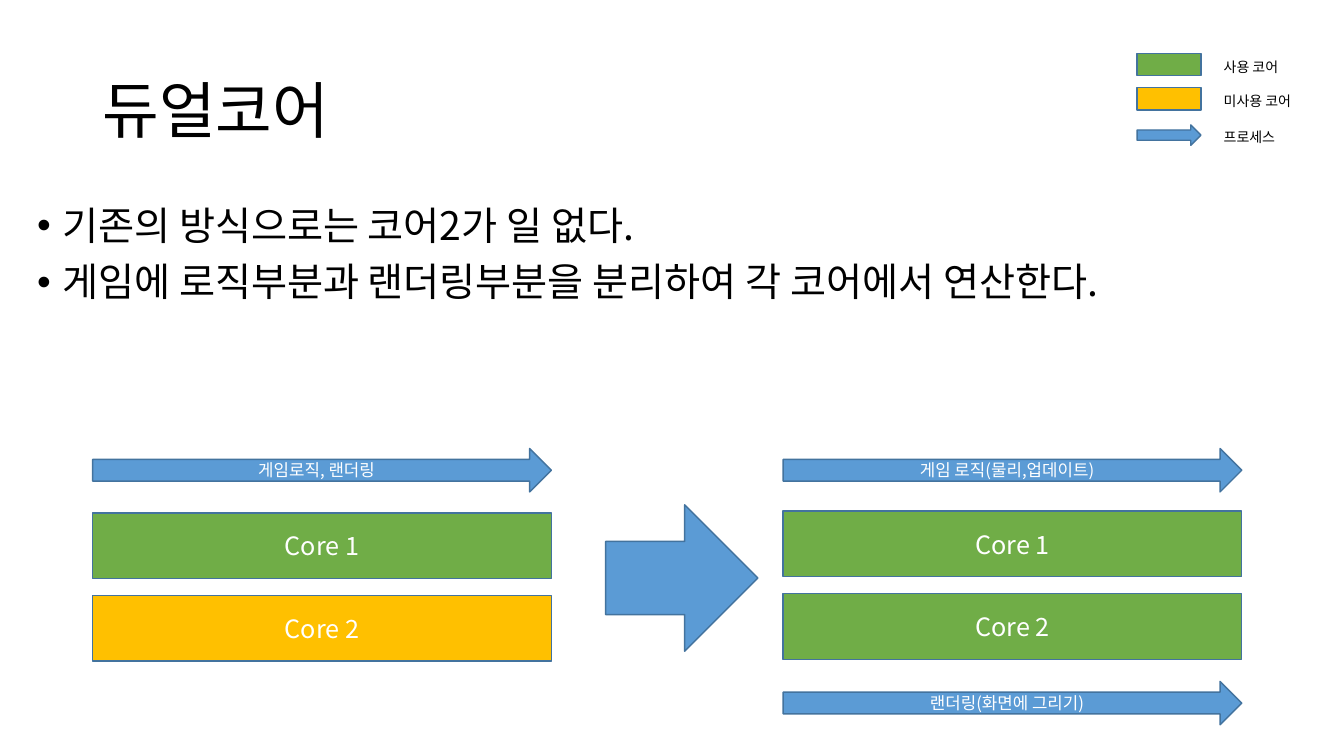
from lxml.etree import SubElement
from pptx import Presentation
from pptx.dml.color import RGBColor
from pptx.enum.shapes import MSO_SHAPE as Shape
from pptx.enum.text import MSO_ANCHOR as Anchor, MSO_AUTO_SIZE as AutoSize, PP_ALIGN as Align
from pptx.oxml.ns import qn
from pptx.util import Pt

FONT = "Noto Sans CJK KR"
BLACK = RGBColor(0x00, 0x00, 0x00)
WHITE = RGBColor(0xFF, 0xFF, 0xFF)
USED = RGBColor(0x70, 0xAD, 0x47)
UNUSED = RGBColor(0xFF, 0xC0, 0x00)
PROCESS = RGBColor(0x5B, 0x9B, 0xD5)
OUTLINE = RGBColor(0x43, 0x73, 0x9E)

LANE_WIDTH = 327.6
CORE_HEIGHT = 46.8
CORE_STEP = 59
PROCESS_HEIGHT = 31


def style_runs(paragraph, size, color):
    for run in paragraph.runs:
        run.font.size = Pt(size)
        run.font.color.rgb = color
        run.font.name = FONT
        SubElement(run.font._element, qn("a:ea"), typeface=FONT)


def add_block(slide, kind, left, top, width, height, fill, label="", size=18):
    block = slide.shapes.add_shape(kind, Pt(left), Pt(top), Pt(width), Pt(height))
    block.shadow.inherit = False
    block.fill.solid()
    block.fill.fore_color.rgb = fill
    block.line.color.rgb = OUTLINE
    block.line.width = Pt(1)
    if label:
        frame = block.text_frame
        frame.text = label
        frame.vertical_anchor = Anchor.MIDDLE
        frame.paragraphs[0].alignment = Align.CENTER
        style_runs(frame.paragraphs[0], size, WHITE)


def add_text(slide, left, top, width, height, text, size):
    box = slide.shapes.add_textbox(Pt(left), Pt(top), Pt(width), Pt(height))
    frame = box.text_frame
    frame.word_wrap = True
    frame.text = text
    for paragraph in frame.paragraphs:
        style_runs(paragraph, size, BLACK)
    return frame


def add_title(slide, left, top, width, height):
    frame = add_text(slide, left, top, width, height, "듀얼코어", 44)
    frame.vertical_anchor = Anchor.MIDDLE
    frame.paragraphs[0].line_spacing = 0.9


def add_points(slide, left, top, width, height):
    points = ["기존의 방식으로는 코어2가 일 없다.",
              "게임에 로직부분과 랜더링부분을 분리하여 각 코어에서 연산한다."]
    frame = add_text(slide, left, top, width, height, "\n".join(points), 28)
    for index, paragraph in enumerate(frame.paragraphs):
        properties = paragraph._p.get_or_add_pPr()
        properties.set("marL", str(Pt(18)))
        properties.set("indent", str(Pt(-18)))
        SubElement(properties, qn("a:buFont"), typeface="Arial")
        SubElement(properties, qn("a:buChar"), char="•")
        paragraph.line_spacing = 0.9
        if index:
            paragraph.space_before = Pt(10)


def add_legend(slide, left, top):
    entries = [
        (Shape.RECTANGLE, USED, "사용 코어", 0, 0, 16),
        (Shape.RECTANGLE, UNUSED, "미사용 코어", 24.5, 24.5, 16),
        (Shape.RIGHT_ARROW, PROCESS, "프로세스", 51, 50.4, 14.6),
    ]
    for kind, fill, label, key_offset, label_offset, height in entries:
        add_block(slide, kind, left, top + key_offset, 45.6, height, fill)
        frame = add_text(slide, left + 54.8, top + label_offset, 93.6, 19.4, label, 10)
        frame.auto_size = AutoSize.SHAPE_TO_FIT_TEXT


def add_process(slide, left, top, label):
    add_block(slide, Shape.RIGHT_ARROW, left, top, LANE_WIDTH, PROCESS_HEIGHT,
              PROCESS, label, 12)


def add_cores(slide, left, top, fills):
    for index, fill in enumerate(fills):
        add_block(slide, Shape.RECTANGLE, left, top + index * CORE_STEP,
                  LANE_WIDTH, CORE_HEIGHT, fill, f"Core {index + 1}")


def add_comparison(slide, left, top):
    """Single-threaded cores on the left, split work on the right."""
    split_left = left + 493.2
    add_process(slide, left, top, "게임로직, 랜더링")
    add_cores(slide, left, top + 46, [USED, UNUSED])
    add_block(slide, Shape.RIGHT_ARROW, left + 366.4, top + 40.2, 108.8, 104.6, PROCESS)
    add_process(slide, split_left, top, "게임 로직(물리,업데이트)")
    add_cores(slide, split_left, top + 44.7, [USED, USED])
    add_process(slide, split_left, top + 166.3, "랜더링(화면에 그리기)")


def main():
    deck = Presentation()
    deck.slide_width, deck.slide_height = Pt(960), Pt(540)
    slide = deck.slides.add_slide(deck.slide_layouts[6])
    add_title(slide, 66.2, 28.8, 428.4, 104.4)
    add_points(slide, 19.4, 144, 900, 136)
    add_legend(slide, 812.2, 38.2)
    add_comparison(slide, 66.2, 320.4)
    deck.save("out.pptx")


if __name__ == "__main__":
    main()
